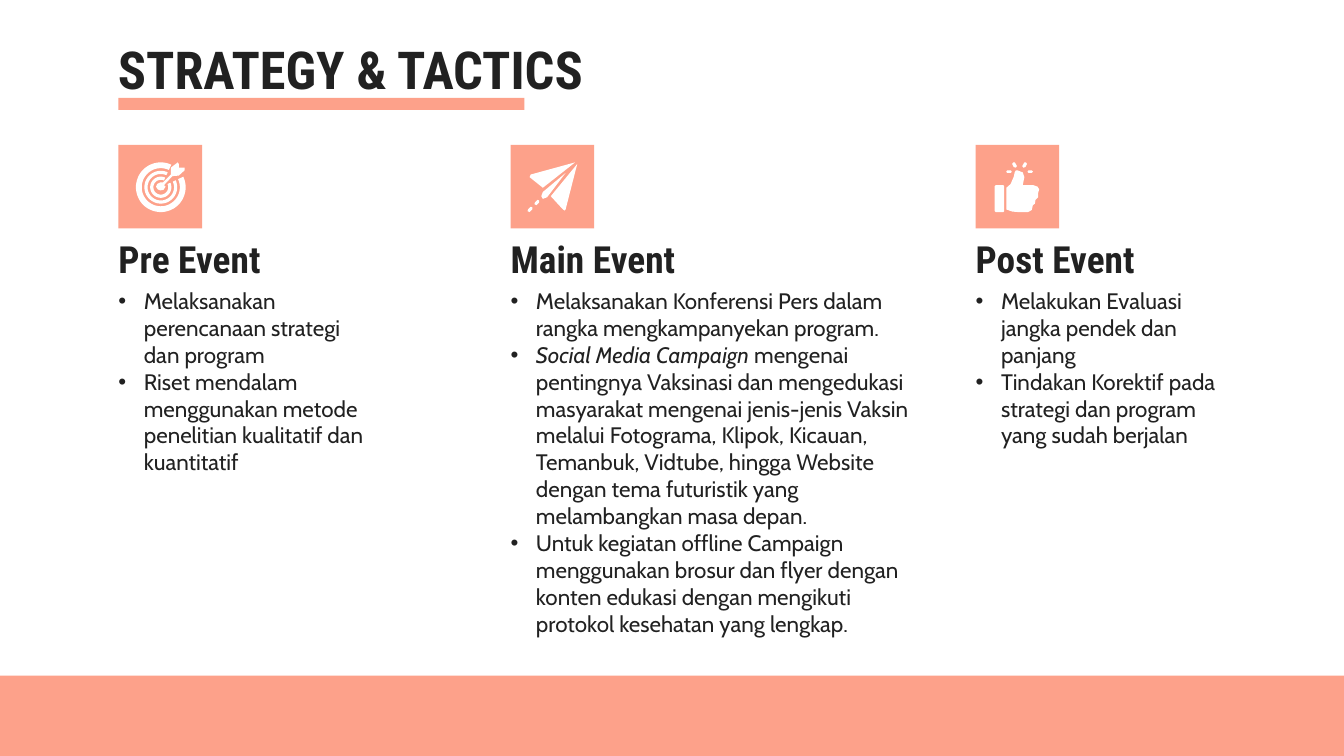
from math import cos, sin, radians
from lxml.etree import SubElement
from pptx import Presentation
from pptx.dml.color import RGBColor
from pptx.enum.shapes import MSO_SHAPE
from pptx.enum.text import MSO_ANCHOR
from pptx.oxml.ns import qn
from pptx.util import Cm, Pt

THEME = {
    "ink": RGBColor.from_string("212121"),
    "peach": RGBColor.from_string("FDA18A"),
    "white": RGBColor.from_string("FFFFFF"),
    "head": "Roboto Condensed",
    "body": "Cabin",
    "big": Pt(28),
    "mid": Pt(20),
    "small": Pt(12),
}


def shift(points, dx, dy):
    return [(x + dx, y + dy) for x, y in points]


def mirror(points, axis):
    return [(2 * axis - x, y) for x, y in points]


def bar(x, y, w, h, cut):
    return [(x + cut, y), (x + w - cut, y), (x + w, y + cut),
            (x + w, y + h - cut), (x + w - cut, y + h),
            (x + cut, y + h), (x, y + h - cut), (x, y + cut)]


def ring(outer, inner):
    turns = [radians(a) for a in range(-25, 296, 5)]
    edge = [(outer, a) for a in turns] + [(inner, a) for a in turns[::-1]]
    return [(0.8 + r * cos(a), 0.8 + r * sin(a)) for r, a in edge]


DART = [(1.12, 0.33), (0.99, 0.43), (0.99, 0.56), (0.84, 0.71), (0.79, 0.71),
        (0.73, 0.74), (0.71, 0.79), (0.74, 0.84), (0.79, 0.86), (0.85, 0.85),
        (0.89, 0.79), (0.86, 0.76), (1.02, 0.59), (1.14, 0.58), (1.25, 0.48),
        (1.25, 0.43), (1.14, 0.43), (1.14, 0.36)]
TARGET = [ring(0.31, 0.25), ring(0.2, 0.14), ring(0.47, 0.36), DART]

DASH = [(0.38, 1.17), (0.33, 1.22), (0.32, 1.25), (0.36, 1.27),
        (0.41, 1.22), (0.41, 1.18)]
PLANE = [
    DASH,
    shift(DASH, 0.13, -0.13),
    [(1.22, 0.33), (0.38, 0.56), (0.36, 0.61), (0.61, 0.81)],
    [(1.26, 0.36), (0.76, 0.97), (0.99, 1.22), (1.02, 1.24), (1.04, 1.22)],
    [(1.04, 0.53), (0.61, 0.89), (0.58, 0.97), (0.61, 1.02), (0.69, 0.99)],
]

RAY = [(0.71, 0.33), (0.69, 0.36), (0.72, 0.42), (0.76, 0.43),
       (0.78, 0.4), (0.74, 0.33)]
SIDE = bar(0.58, 0.48, 0.1, 0.05, 0.02)
HAND = [(0.76, 0.48), (0.74, 0.51), (0.72, 0.6), (0.66, 0.74), (0.58, 0.81),
        (0.58, 1.22), (0.69, 1.26), (0.81, 1.27), (0.99, 1.27), (1.06, 1.23),
        (1.08, 1.14), (1.12, 1.11), (1.13, 1.04), (1.18, 0.99), (1.18, 0.91),
        (1.2, 0.84), (1.17, 0.79), (1.09, 0.76), (0.89, 0.76), (0.92, 0.61),
        (0.89, 0.52), (0.79, 0.48)]
THUMB = [mirror(SIDE, 0.83), RAY, mirror(RAY, 0.83), SIDE,
         bar(0.36, 0.76, 0.18, 0.51, 0.02), HAND]

TITLE = "STRATEGY & TACTICS"
STAGES = [
    ("Pre Event", 2.24, 5.21, TARGET, [
        [("Melaksanakan perencanaan strategi dan program", False)],
        [("Riset mendalam menggunakan metode penelitian kualitatif dan "
          "kuantitatif", False)],
    ]),
    ("Main Event", 9.65, 8.33, PLANE, [
        [("Melaksanakan Konferensi Pers dalam rangka mengkampanyekan "
          "program.", False)],
        [("Social Media Campaign", True),
         (" mengenai pentingnya Vaksinasi dan mengedukasi masyarakat "
          "mengenai jenis-jenis Vaksin melalui Fotograma, Klipok, Kicauan, "
          "Temanbuk, Vidtube, hingga Website dengan tema futuristik yang "
          "melambangkan masa depan.", False)],
        [("Untuk kegiatan offline Campaign menggunakan brosur dan flyer "
          "dengan konten edukasi dengan mengikuti protokol kesehatan yang "
          "lengkap.", False)],
    ]),
    ("Post Event", 18.44, 5.23, THUMB, [
        [("Melakukan Evaluasi jangka pendek dan panjang", False)],
        [("Tindakan Korektif pada strategi dan program yang sudah berjalan",
          False)],
    ]),
]
PAD = 0.25
TILE = 1.58
TOP = 2.74

deck = Presentation()
deck.slide_width, deck.slide_height = Cm(25.4), Cm(14.29)
slide = deck.slides.add_slide(deck.slide_layouts[6])
shapes = slide.shapes


def paint(shape, color):
    shape.fill.solid()
    shape.fill.fore_color.rgb = THEME[color]
    shape.line.fill.background()
    shape.shadow.inherit = False


def block(x, y, w, h):
    paint(shapes.add_shape(MSO_SHAPE.RECTANGLE, Cm(x), Cm(y), Cm(w), Cm(h)),
          "peach")


def outline(points, x, y):
    first, *rest = [(Cm(x + px), Cm(y + py)) for px, py in points]
    pen = shapes.build_freeform(*first)
    pen.add_line_segments(rest, close=True)
    paint(pen.convert_to_shape(), "white")


def frame(x, y, w, h, anchor=MSO_ANCHOR.TOP):
    text = shapes.add_textbox(Cm(x), Cm(y), Cm(w), Cm(h)).text_frame
    text.word_wrap = True
    text.vertical_anchor = anchor
    text.margin_left = text.margin_right = Cm(PAD)
    text.margin_top = text.margin_bottom = Cm(PAD)
    return text


def write(para, words, face, size, bold=False, slant=False):
    run = para.add_run()
    run.text = words
    font = run.font
    font.name, font.size = THEME[face], THEME[size]
    font.bold, font.italic = bold, slant
    font.color.rgb = THEME["ink"]


def bullet(para):
    props = para._p.get_or_add_pPr()
    props.set("marL", str(Cm(0.48)))
    props.set("indent", str(-Cm(0.48)))
    color = SubElement(props, qn("a:buClr"))
    SubElement(color, qn("a:srgbClr")).set("val", str(THEME["ink"]))
    SubElement(props, qn("a:buFont")).set("typeface", "Arial")
    SubElement(props, qn("a:buChar")).set("char", "•")


block(0, 12.77, 25.4, 1.52)
write(frame(1.98, 0.46, 10.72, 1.57).paragraphs[0], TITLE, "head", "big", True)
block(2.24, 1.85, 7.67, 0.23)

for name, left, wide, icon, points in STAGES:
    block(left, TOP, TILE, TILE)
    for part in icon:
        outline(part, left, TOP)
    edge = left - PAD
    label = frame(edge, 4.32, 5.21, 1.14, MSO_ANCHOR.MIDDLE)
    write(label.paragraphs[0], name, "head", "mid", True)
    body = frame(edge, 5.18, wide, 3.53)
    for i, runs in enumerate(points):
        para = body.add_paragraph() if i else body.paragraphs[0]
        bullet(para)
        for words, slant in runs:
            write(para, words, "body", "small", slant=slant)

deck.save("out.pptx")
